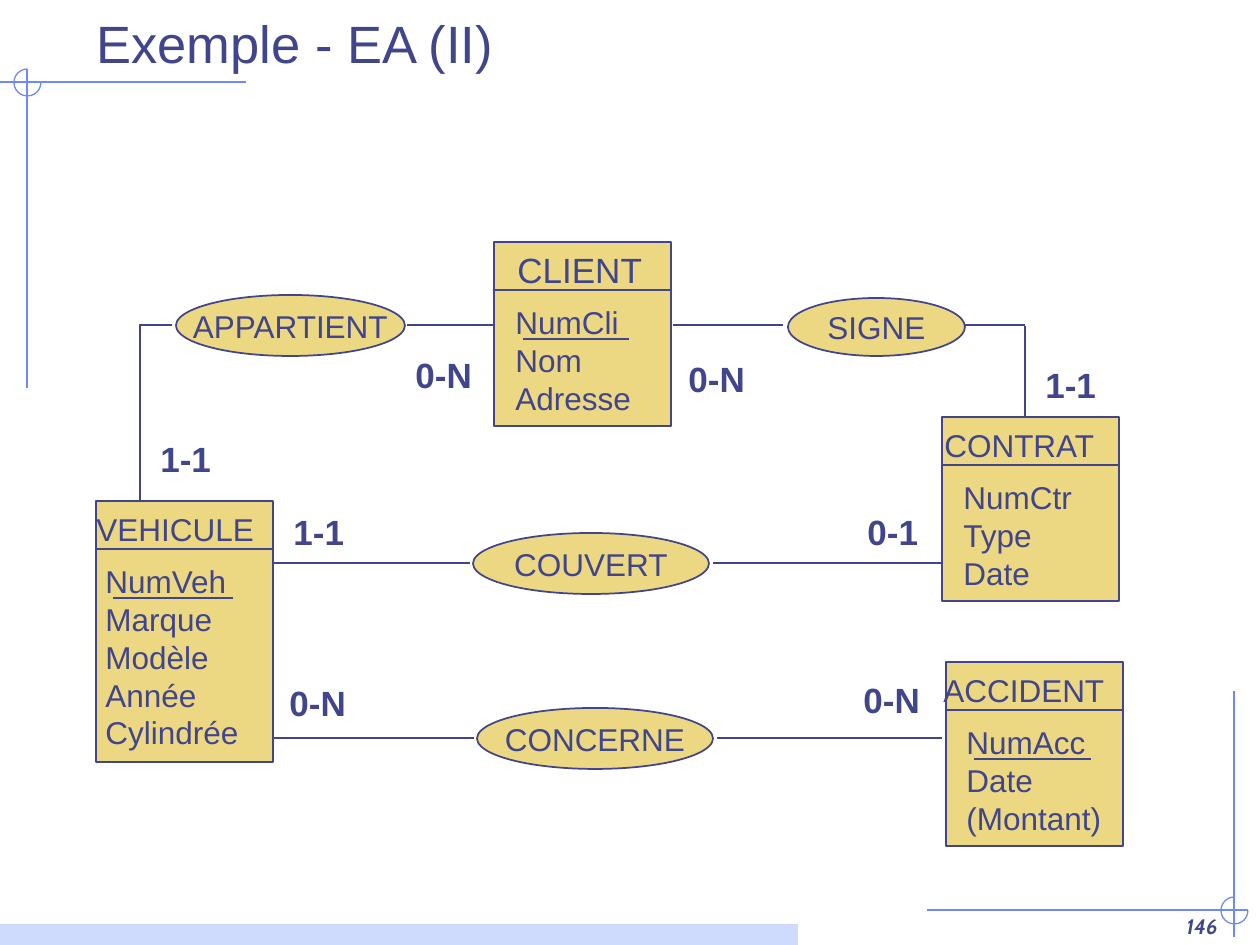
import pptx
import pptx.dml.color
import pptx.enum.shapes
import pptx.enum.text
import pptx.oxml
import pptx.util

SHAPES = pptx.enum.shapes.MSO_SHAPE
ALIGN = pptx.enum.text.PP_ALIGN
ANCHOR = pptx.enum.text.MSO_ANCHOR
EMU_PER_PX = 914400 / 126
INK, SAND, GUIDE, BAND = "40458C", "ECD882", "6F89F7", "CFDBFD"


def px(length):
    return pptx.util.Emu(round(length * EMU_PER_PX))


def colour(value):
    return pptx.dml.color.RGBColor.from_string(value)


def write(frame, text, size=18, font="Arial", bold=False, italic=False,
          align=ALIGN.LEFT, anchor=ANCHOR.TOP, wrap=False):
    frame.word_wrap = wrap
    frame.vertical_anchor = anchor
    frame.text = text
    for paragraph in frame.paragraphs:
        paragraph.alignment = align
        paragraph.font.size = pptx.util.Pt(size)
        paragraph.font.name = font
        paragraph.font.bold = bold
        paragraph.font.italic = italic
        paragraph.font.color.rgb = colour(INK)


class Diagram:
    def __init__(self, slide):
        self.slide = slide
        self.shapes = slide.shapes

    def title(self, text, *box):
        heading = self.shapes.title
        heading.left, heading.top, heading.width, heading.height = map(px, box)
        write(heading.text_frame, text, size=30, anchor=ANCHOR.MIDDLE, wrap=True)

    def label(self, text, *box, **style):
        write(self.shapes.add_textbox(*map(px, box)).text_frame, text, **style)

    def shape(self, kind, *box, fill=SAND, line=INK, weight=1):
        figure = self.shapes.add_shape(kind, *map(px, box))
        figure.shadow.inherit = False
        if fill:
            figure.fill.solid()
            figure.fill.fore_color.rgb = colour(fill)
        else:
            figure.fill.background()
        if line:
            figure.line.color.rgb = colour(line)
            figure.line.width = pptx.util.Pt(weight)
        else:
            figure.line.fill.background()
        return figure

    def line(self, *ends, line=INK, weight=1):
        link = self.shapes.add_connector(
            pptx.enum.shapes.MSO_CONNECTOR.STRAIGHT, *map(px, ends))
        link.line.color.rgb = colour(line)
        link.line.width = pptx.util.Pt(weight)
        link._element.spPr.append(pptx.oxml.parse_xml(
            '<a:effectLst xmlns:a='
            '"http://schemas.openxmlformats.org/drawingml/2006/main"/>'))

    def corner(self, x, y, across, down):
        """Two guide lines crossing in a three-quarter circle centred on x, y."""
        self.line(across[0], y, across[1], y, line=GUIDE, weight=0.75)
        self.line(x, down[0], x, down[1], line=GUIDE, weight=0.75)
        arc = self.shape(SHAPES.ARC, x - 13, y - 13, 27, 27,
                         fill=None, line=GUIDE, weight=0.75)
        arc.adjustments[0] = 0
        arc.adjustments[1] = 270 * 0.6  # 60000ths of a degree over 100000

    def entity(self, name, x, y, height, name_box, attribute_box, attributes,
               key_width=0, size=18):
        """Box with a name, a divider and attributes; the key is underlined."""
        self.shape(SHAPES.RECTANGLE, x, y, 177, height)
        self.line(x, y + 48, x + 177, y + 48)
        name_x, name_drop, name_width = name_box
        self.label(name, name_x, y + name_drop, name_width, 50, size=size)
        left, width = attribute_box
        top = y + 55
        self.label("\n".join(attributes), left, top, width,
                   12 + 38 * len(attributes))
        if key_width:
            self.line(left + 20, top + 42, left + 20 + key_width, top + 42)

    def relation(self, name, *box):
        oval = self.shape(SHAPES.OVAL, *box)
        write(oval.text_frame, name, align=ALIGN.CENTER, anchor=ANCHOR.MIDDLE)

    def cardinality(self, text, x, y):
        self.label(text, x, y, 82 if "N" in text else 76, 54, size=20, bold=True)


def main():
    deck = pptx.Presentation()
    deck.slide_width, deck.slide_height = px(1260), px(945)
    diagram = Diagram(deck.slides.add_slide(deck.slide_layouts[5]))

    # Page frame
    diagram.corner(27, 82, across=(0, 246), down=(69, 388))
    diagram.corner(1234, 910, across=(927, 1248), down=(691, 937))
    diagram.shape(SHAPES.RECTANGLE, 0, 924, 798, 21, fill=BAND, line=None)
    diagram.label("146", 968, 882, 262, 63, size=12, font="Cabin", bold=True,
                  italic=True, align=ALIGN.RIGHT, anchor=ANCHOR.BOTTOM, wrap=True)
    diagram.title("Exemple - EA (II)", 84, 1, 1144, 84)

    # Entities
    diagram.entity("CLIENT", 494, 242, 184, (505, 0, 150), (503, 141),
                   ["NumCli", "Nom", "Adresse"], key_width=106, size=20)
    diagram.entity("CONTRAT", 942, 417, 184, (932, 3, 178), (951, 134),
                   ["NumCtr", "Type", "Date"])
    diagram.entity("ACCIDENT", 946, 662, 184, (931, 3, 186), (954, 160),
                   ["NumAcc", "Date", "(Montant)"], key_width=117)
    diagram.entity("VEHICULE", 96, 501, 261, (84, 3, 183), (93, 158),
                   ["NumVeh", "Marque", "Modèle", "Année", "Cylindrée"],
                   key_width=120)

    # Links between entities and relations
    for link in [
        (470, 563, 272, 563), (942, 563, 713, 563),
        (474, 738, 272, 738), (942, 738, 717, 738),
        (407, 325, 493, 325), (673, 325, 783, 325),
        (956, 325, 1025, 325), (1025, 326, 1025, 416),
        (172, 325, 139, 325), (140, 326, 140, 500),
    ]:
        diagram.line(*link)

    # Relations
    diagram.relation("APPARTIENT", 176, 295, 229, 61)
    diagram.relation("SIGNE", 788, 298, 177, 58)
    diagram.relation("COUVERT", 473, 533, 236, 61)
    diagram.relation("CONCERNE", 477, 708, 236, 61)

    # Cardinalities
    for text, x, y in [
        ("0-N", 403, 347), ("0-N", 676, 351), ("1-1", 1033, 357),
        ("0-1", 855, 504), ("0-N", 851, 672), ("1-1", 148, 431),
        ("1-1", 281, 504), ("0-N", 277, 675),
    ]:
        diagram.cardinality(text, x, y)

    deck.save("out.pptx")


if __name__ == "__main__":
    main()
